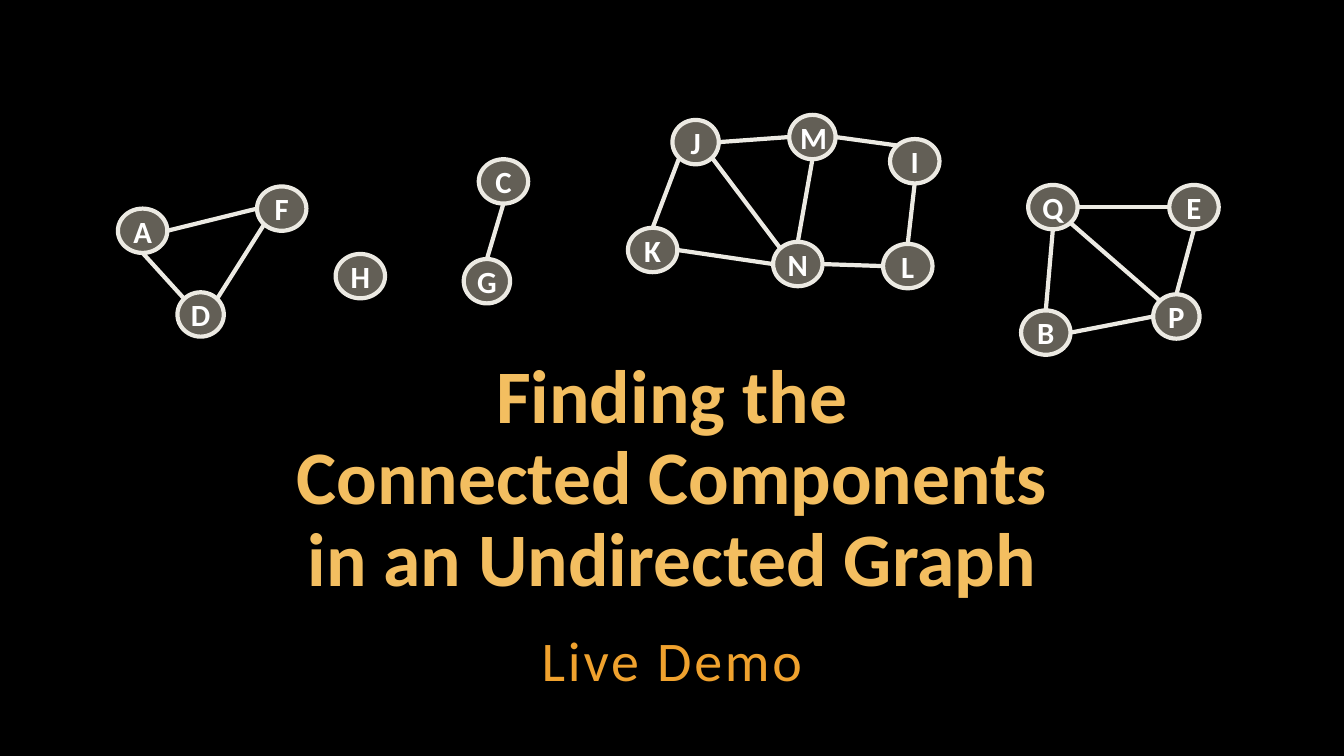
from lxml import etree
from pptx import Presentation
from pptx.dml.color import RGBColor
from pptx.enum.shapes import MSO_CONNECTOR, MSO_SHAPE
from pptx.enum.text import MSO_ANCHOR, PP_ALIGN
from pptx.oxml.ns import qn
from pptx.util import Inches, Pt

OVAL, STRAIGHT = MSO_SHAPE.OVAL, MSO_CONNECTOR.STRAIGHT
CENTER = PP_ALIGN.CENTER
TOP, MIDDLE, BOTTOM = MSO_ANCHOR.TOP, MSO_ANCHOR.MIDDLE, MSO_ANCHOR.BOTTOM

FONT = "Calibri"
COLORS = {
    "background": "000000", "title": "F3BE60", "subtitle": "F0A22E",
    "node": "C7BFAC", "outline": "ECEAE3", "label": "FFFFFF",
}
WIDTH, HEIGHT = Inches(13.33), Inches(7.5)

# Node sizes in inches; a few nodes are slightly narrower
NODE_WIDTH, NARROW_WIDTH, NODE_HEIGHT = 0.49, 0.46, 0.44
NARROW_NODES = "DGJMP"

# Unit directions from a node's centre to the points where edges attach
DIAGONAL = 0.71
SITES = {
    "N": (0, -1), "S": (0, 1), "W": (-1, 0), "E": (1, 0),
    "NW": (-DIAGONAL, -DIAGONAL), "NE": (DIAGONAL, -DIAGONAL),
    "SW": (-DIAGONAL, DIAGONAL), "SE": (DIAGONAL, DIAGONAL),
}

# Each component: node centres in percent of the slide, then its edges
COMPONENTS = [
    ({"F": (20.96, 27.6), "D": (14.93, 41.6), "A": (10.61, 30.53)},
     ["F SW D NE", "A E F W", "D NW A S"]),
    ({"H": (26.81, 36.53)}, []),
    ({"G": (36.23, 37.2), "C": (37.46, 24)}, ["G N C S"]),
    ({"N": (59.36, 34.93), "J": (51.76, 18.8), "K": (48.56, 33.07),
      "M": (60.45, 18.13), "L": (67.54, 35.2), "I": (68.06, 21.33)},
     ["N NW J SE", "K E N W", "J SW K N", "I S L N",
      "N E L W", "N N M S", "J E M W", "I NW M E"]),
    ({"Q": (78.34, 27.4), "P": (87.53, 41.87), "E": (88.84, 27.4),
      "B": (77.81, 44)},
     ["Q S B N", "P N E S", "Q E E W", "Q SE P NW", "B E P W"]),
]


def color(name):
    return RGBColor.from_string(COLORS[name])


def share(x, y):
    """Turn percentages of the slide into a position."""
    return round(WIDTH * x / 100), round(HEIGHT * y / 100)


def node_size(name):
    width = NARROW_WIDTH if name in NARROW_NODES else NODE_WIDTH
    return Inches(width), Inches(NODE_HEIGHT)


def style_outline(line):
    line.color.rgb = color("outline")
    line.width = Pt(3)


def style_text(text_frame, size, color_name, bold, anchor, inset=0.04):
    text_frame.word_wrap = True
    text_frame.vertical_anchor = anchor
    text_frame.margin_left = text_frame.margin_right = Inches(0.04)
    text_frame.margin_top = text_frame.margin_bottom = Inches(inset)
    paragraph = text_frame.paragraphs[0]
    paragraph.alignment = CENTER
    for run in paragraph.runs:
        run.font.name = FONT
        run.font.size = Pt(size)
        run.font.bold = bold
        run.font.color.rgb = color(color_name)
    return paragraph


def place(shape, left, top, width, height):
    shape.left, shape.top = share(left, top)
    shape.width, shape.height = share(width, height)


def add_node(shapes, name, centre):
    x, y = share(*centre)
    width, height = node_size(name)
    node = shapes.add_shape(OVAL, x - width // 2, y - height // 2, width, height)
    node.shadow.inherit = False
    node.fill.solid()
    node.fill.fore_color.rgb = color("node")
    fill_color = node.fill._xPr.find(f".//{qn('a:srgbClr')}")
    etree.SubElement(fill_color, qn("a:alpha"), val="50000")
    style_outline(node.line)
    node.text_frame.text = name
    style_text(node.text_frame, 22, "label", True, MIDDLE, 0.05)


def site_point(name, centre, site):
    x, y = share(*centre)
    width, height = node_size(name)
    across, down = SITES[site]
    return round(x + across * width / 2), round(y + down * height / 2)


def add_edge(shapes, nodes, edge):
    start, start_site, end, end_site = edge.split()
    connector = shapes.add_connector(
        STRAIGHT,
        *site_point(start, nodes[start], start_site),
        *site_point(end, nodes[end], end_site))
    style_outline(connector.line)
    etree.SubElement(connector._element.spPr, qn("a:effectLst"))


def add_component(slide, nodes, edges):
    # A component with edges is kept together as one group
    shapes = slide.shapes.add_group_shape().shapes if edges else slide.shapes
    for name, centre in nodes.items():
        add_node(shapes, name, centre)
    for edge in edges:
        add_edge(shapes, nodes, edge)


def fill_titles(slide):
    title, subtitle = slide.shapes.title, slide.placeholders[1]

    # Title on three lines
    place(title, 7.5, 46.53, 85, 33.73)
    title.text_frame.text = "Finding the\vConnected Components\vin an Undirected Graph"
    paragraph = style_text(title.text_frame, 54, "title", True, BOTTOM)
    paragraph.line_spacing = 0.9

    # Subtitle with widened letter spacing
    place(subtitle, 7.5, 81.73, 85, 10.53)
    subtitle.text_frame.text = "Live Demo"
    paragraph = style_text(subtitle.text_frame, 40, "subtitle", False, TOP)
    paragraph.line_spacing = 1.05
    paragraph.space_before, paragraph.space_after = Pt(0), Pt(6)
    paragraph.runs[0].font._element.set("spc", "200")


def main():
    presentation = Presentation()
    presentation.slide_width, presentation.slide_height = WIDTH, HEIGHT
    slide = presentation.slides.add_slide(presentation.slide_layouts[0])
    slide.background.fill.solid()
    slide.background.fill.fore_color.rgb = color("background")
    fill_titles(slide)
    for nodes, edges in COMPONENTS:
        add_component(slide, nodes, edges)
    presentation.save("out.pptx")


if __name__ == "__main__":
    main()
